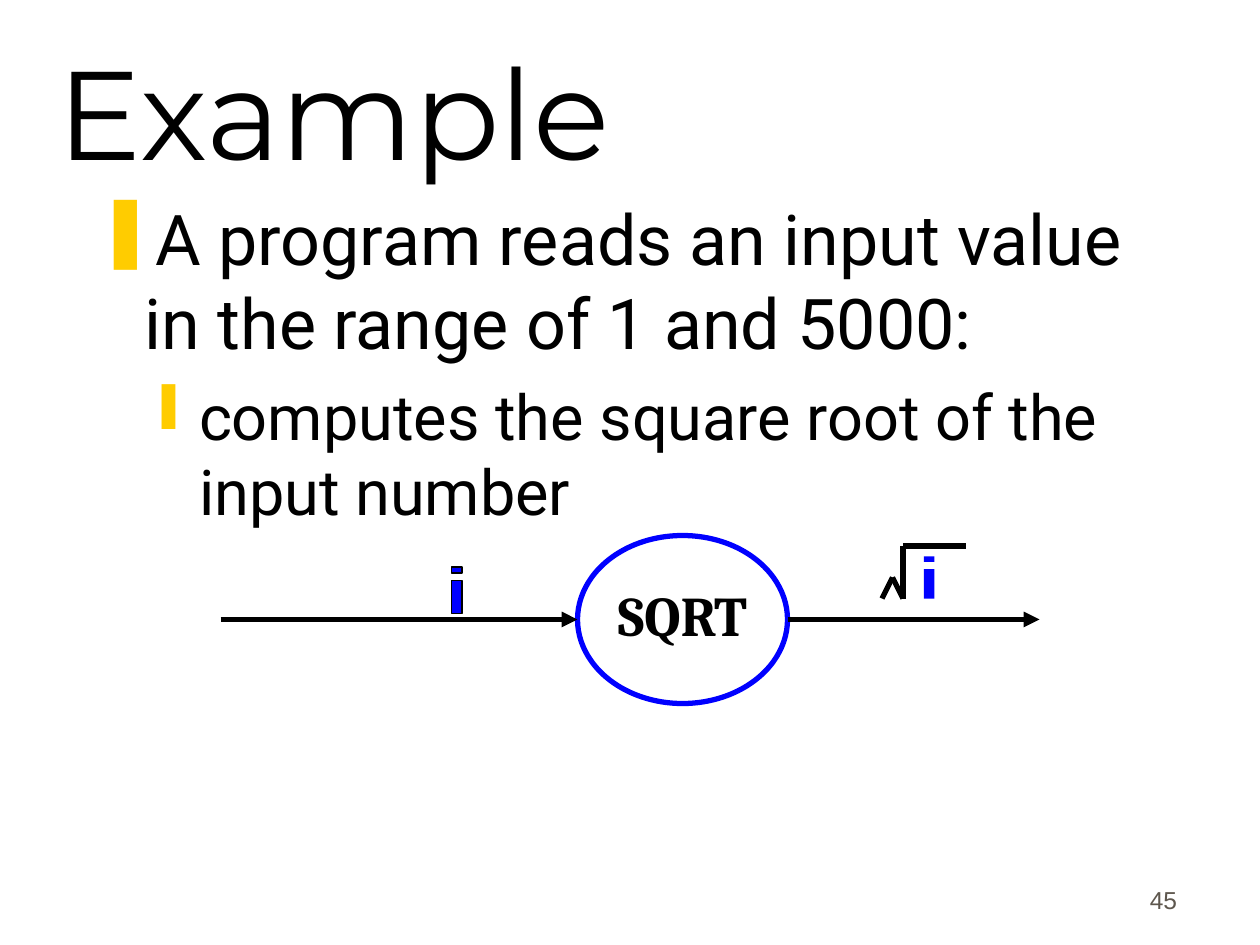
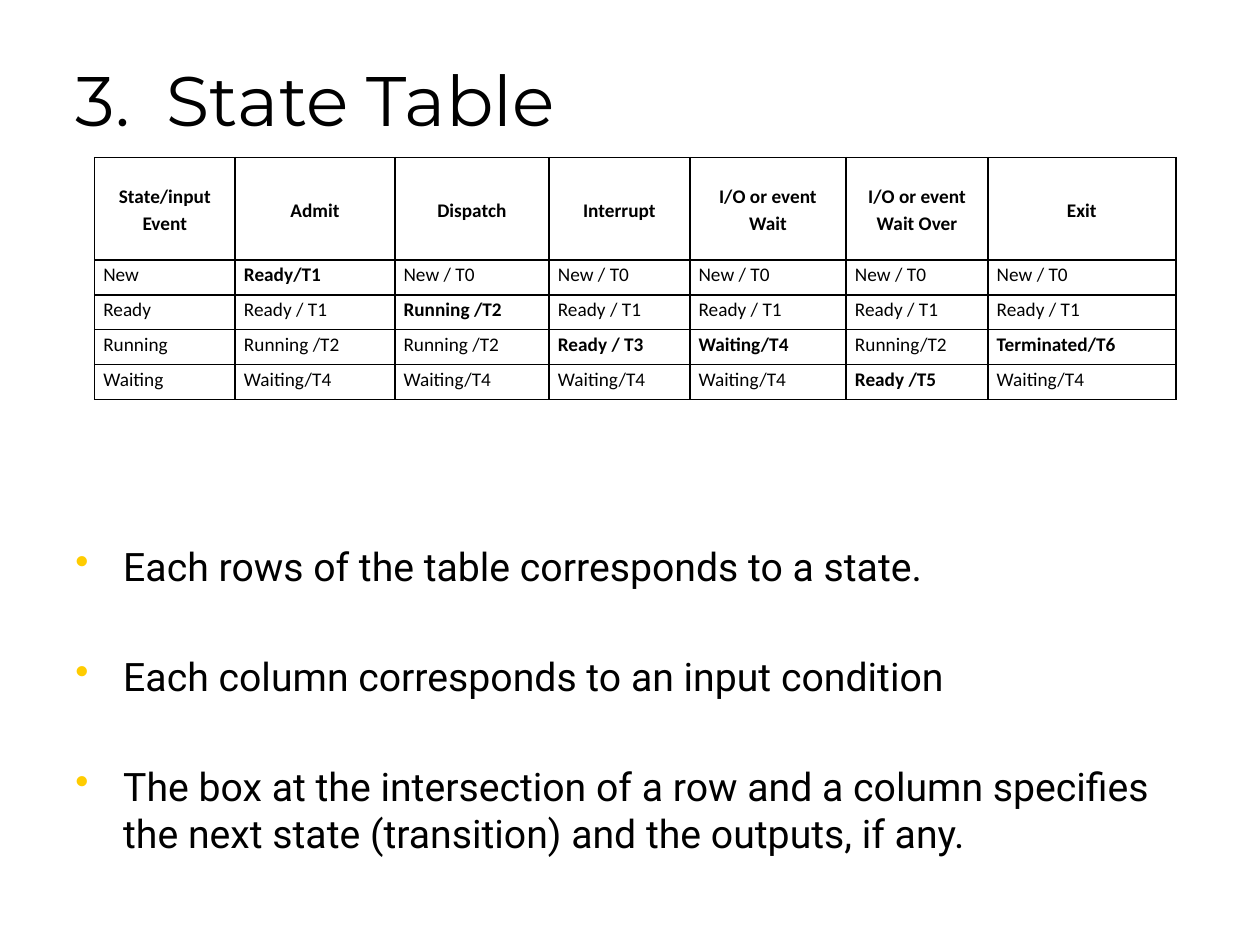
import dataclasses

import lxml.etree
import pptx
import pptx.dml.color
import pptx.enum.dml
import pptx.enum.shapes
import pptx.enum.text
import pptx.oxml.ns
import pptx.util

COLUMNS, ROWS = 120, 90
CELL = pptx.util.Inches(10) // COLUMNS
COLORS = {"ink": "000000", "accent": "0000FF", "bullet": "FFCC00", "number": "5E574E"}
TITLE_FONT, BODY_FONT = "Montserrat", "Roboto"
THIN_INSETS = (0.02, 0.05)
WIDE_INSETS = (0.1, 0.05)
ALIGN = pptx.enum.text.PP_ALIGN
ANCHOR = pptx.enum.text.MSO_ANCHOR

STATE_TABLE = [
    ["State/input Event", "Admit", "Dispatch", "Interrupt", "I/O or event Wait",
     "I/O or event Wait Over", "Exit"],
    ["New", "Ready/T1"] + ["New / T0"] * 5,
    ["Ready", "Ready / T1", "Running /T2"] + ["Ready / T1"] * 4,
    ["Running", "Running /T2", "Running /T2", "Ready / T3", "Waiting/T4", "Running/T2",
     "Terminated/T6"],
    ["Waiting"] + ["Waiting/T4"] * 4 + ["Ready /T5", "Waiting/T4"],
]
TABLE_COLUMNS = [13.4, 15.2, 14.7, 13.4, 14.9, 13.5, 17.9]
TABLE_ROWS = [9.75] + [3.33] * 4


@dataclasses.dataclass
class Box:
    """A region in grid columns and rows."""
    left: float
    top: float
    width: float
    height: float

    def point(self, column, row):
        return grid(self.left + column), grid(self.top + row)

    def inner(self, column, row, width, height):
        return Box(self.left + column, self.top + row, width, height)

    def lengths(self):
        return [grid(n) for n in (self.left, self.top, self.width, self.height)]


def grid(count):
    return pptx.util.Emu(round(count * CELL))


def rgb(name):
    return pptx.dml.color.RGBColor.from_string(COLORS[name])


def add_element(parent, tag, **attributes):
    return lxml.etree.SubElement(parent, pptx.oxml.ns.qn(tag), attributes)


def style_paragraph(paragraph, font, size, color="ink", bold=False, align=None):
    paragraph.font.name = font
    paragraph.font.size = pptx.util.Pt(size)
    paragraph.font.bold = bold
    paragraph.font.color.rgb = rgb(color)
    paragraph.alignment = align


def style_frame(frame, insets, anchor, wrap=True):
    frame.auto_size = pptx.enum.text.MSO_AUTO_SIZE.NONE
    frame.word_wrap = wrap
    frame.vertical_anchor = anchor
    frame.margin_left = frame.margin_right = pptx.util.Inches(insets[0])
    frame.margin_top = frame.margin_bottom = pptx.util.Inches(insets[1])


def add_titled_slide(presentation, text, box, size, insets, anchor):
    slide = presentation.slides.add_slide(presentation.slide_layouts[5])
    title = slide.shapes.title
    title.left, title.top, title.width, title.height = box.lengths()
    style_frame(title.text_frame, insets, anchor)
    title.text_frame.text = text
    style_paragraph(title.text_frame.paragraphs[0], TITLE_FONT, size, align=ALIGN.LEFT)
    return slide


def add_text_frame(slide, box, insets, anchor=ANCHOR.TOP):
    frame = slide.shapes.add_textbox(*box.lengths()).text_frame
    style_frame(frame, insets, anchor)
    return frame


def add_bullets(slide, box, bullets, insets):
    """Each bullet is (text, symbol, size, left margin, hanging indent, space before)."""
    frame = add_text_frame(slide, box, insets)
    for index, (text, symbol, size, margin, hanging, space) in enumerate(bullets):
        paragraph = frame.add_paragraph() if index else frame.paragraphs[0]
        paragraph.text = text
        properties = paragraph._p.get_or_add_pPr()
        properties.set("marL", str(pptx.util.Inches(margin)))
        properties.set("indent", str(-pptx.util.Inches(hanging)))
        color = add_element(properties, "a:buClr")
        add_element(color, "a:srgbClr", val=COLORS["bullet"])
        add_element(properties, "a:buChar", char=symbol)
        if index:
            paragraph.space_before = pptx.util.Pt(space)
        style_paragraph(paragraph, BODY_FONT, size)


def add_page_number(slide, box, number):
    paragraph = add_text_frame(slide, box, WIDE_INSETS, ANCHOR.BOTTOM).paragraphs[0]
    paragraph.text = number
    style_paragraph(paragraph, "Arial", 14, "number", align=ALIGN.RIGHT)


def add_line(slide, start, end, arrow=False):
    line = slide.shapes.add_connector(
        pptx.enum.shapes.MSO_CONNECTOR.STRAIGHT, *start, *end)
    line.line.color.rgb = rgb("ink")
    line.line.width = pptx.util.Pt(3)
    if arrow:
        add_element(line.line._get_or_add_ln(), "a:tailEnd", type="triangle")
    add_element(line._element.spPr, "a:effectLst")


def add_letter_i(slide, box, outlined):
    """Draw a block letter i: a dot over a stem."""
    def corners(top, bottom):
        top, bottom = top * box.height, bottom * box.height
        return [box.point(*corner) for corner in
                ((0, top), (box.width, top), (box.width, bottom), (0, bottom))]

    dot, stem = corners(0, 0.13), corners(0.3, 1)
    builder = slide.shapes.build_freeform(*dot[0])
    builder.add_line_segments(dot[1:], close=True)
    builder.move_to(*stem[0])
    builder.add_line_segments(stem[1:], close=True)
    letter = builder.convert_to_shape()
    letter.shadow.inherit = False
    letter.fill.solid()
    letter.fill.fore_color.rgb = rgb("accent")
    if outlined:
        letter.line.color.rgb = rgb("ink")
        letter.line.width = pptx.util.Pt(0.75)
    else:
        letter.line.fill.background()


def add_process(slide, box, text):
    process = slide.shapes.add_shape(pptx.enum.shapes.MSO_SHAPE.OVAL, *box.lengths())
    process.shadow.inherit = False
    process.fill.background()
    process.line.color.rgb = rgb("accent")
    process.line.width = pptx.util.Pt(3)
    style_frame(process.text_frame, THIN_INSETS, ANCHOR.MIDDLE, wrap=False)
    paragraph = process.text_frame.paragraphs[0]
    paragraph.text = text
    paragraph.line_spacing = 0.85
    style_paragraph(paragraph, "Cambria", 32, bold=True, align=ALIGN.CENTER)


def add_square_root_flow(slide, box):
    process_left, process_width = 34, 20
    middle = box.height / 2
    add_process(slide, box.inner(process_left, 0, process_width, box.height), "SQRT")
    for start, end in ((0, process_left), (process_left + process_width, box.width)):
        add_line(slide, box.point(start, middle), box.point(end, middle), arrow=True)
    add_letter_i(slide, box.inner(22, 3, 1, 4.4), outlined=True)
    add_letter_i(slide, box.inner(67, 2, 1, 4), outlined=False)
    radical = [(63, 6), (64, 4), (65, 6), (65, 1), (71, 1)]
    for start, end in zip(radical, radical[1:]):
        add_line(slide, box.point(*start), box.point(*end))


def add_cell_borders(cell):
    properties = cell._tc.get_or_add_tcPr()
    for side in ("L", "R", "T", "B"):
        border = add_element(properties, f"a:ln{side}", w=str(pptx.util.Pt(1)))
        fill = add_element(border, "a:solidFill")
        add_element(fill, "a:srgbClr", val=COLORS["ink"])


def add_state_table(slide, box):
    """Bold marks the header and every cell that leads to another state."""
    table = slide.shapes.add_table(
        len(STATE_TABLE), len(STATE_TABLE[0]), *box.lengths()).table
    table.first_row = table.horz_banding = False
    for column, width in zip(table.columns, TABLE_COLUMNS):
        column.width = grid(width)
    for row, height in zip(table.rows, TABLE_ROWS):
        row.height = grid(height)
    for row_index, texts in enumerate(STATE_TABLE):
        header = row_index == 0
        for column_index, text in enumerate(texts):
            cell = table.cell(row_index, column_index)
            add_cell_borders(cell)
            cell.fill.background()
            cell.margin_left = cell.margin_right = pptx.util.Inches(0.07)
            cell.margin_top = cell.margin_bottom = 0
            cell.vertical_anchor = ANCHOR.MIDDLE if header else ANCHOR.TOP
            paragraph = cell.text_frame.paragraphs[0]
            paragraph.text = text
            paragraph.line_spacing = 1.15
            style_paragraph(paragraph, "Calibri", 11,
                            bold=header or not text.startswith(texts[0]),
                            align=ALIGN.CENTER if header else ALIGN.LEFT)


def build_example_slide(presentation):
    slide = add_titled_slide(presentation, "Example", Box(5.25, 3, 102, 15), 72,
                             THIN_INSETS, ANCHOR.MIDDLE)
    add_bullets(slide, Box(9, 18, 102, 54), [
        ("A program reads an input value in the range of 1 and 5000:",
         "❚", 40, 0.38, 0.38, 0),
        ("computes the square root of the input number", "❙", 36, 0.81, 0.31, 8),
    ], THIN_INSETS)
    add_square_root_flow(slide, Box(21, 51, 78, 16))
    add_page_number(slide, Box(88.3, 81.7, 25, 6), "45")


def build_state_table_slide(presentation):
    slide = add_titled_slide(presentation, "3.  State Table", Box(6, 3.6, 108, 10.4), 40,
                             WIDE_INSETS, ANCHOR.BOTTOM)
    add_state_table(slide, Box(9, 15, sum(TABLE_COLUMNS), sum(TABLE_ROWS)))
    notes = ["Each rows of the table corresponds to a state.",
             "Each column corresponds to an input condition",
             "The box at the intersection of a row and a column specifies the next state "
             "(transition) and the outputs, if any."]
    add_bullets(slide, Box(6, 51.1, 107.3, 28.3),
                [(note, "•", 22.4, 0.38, 0.38, 36) for note in notes], WIDE_INSETS)


def main():
    presentation = pptx.Presentation()
    presentation.slide_width = grid(COLUMNS)
    presentation.slide_height = grid(ROWS)
    build_example_slide(presentation)
    build_state_table_slide(presentation)
    presentation.save("out.pptx")


if __name__ == "__main__":
    main()
